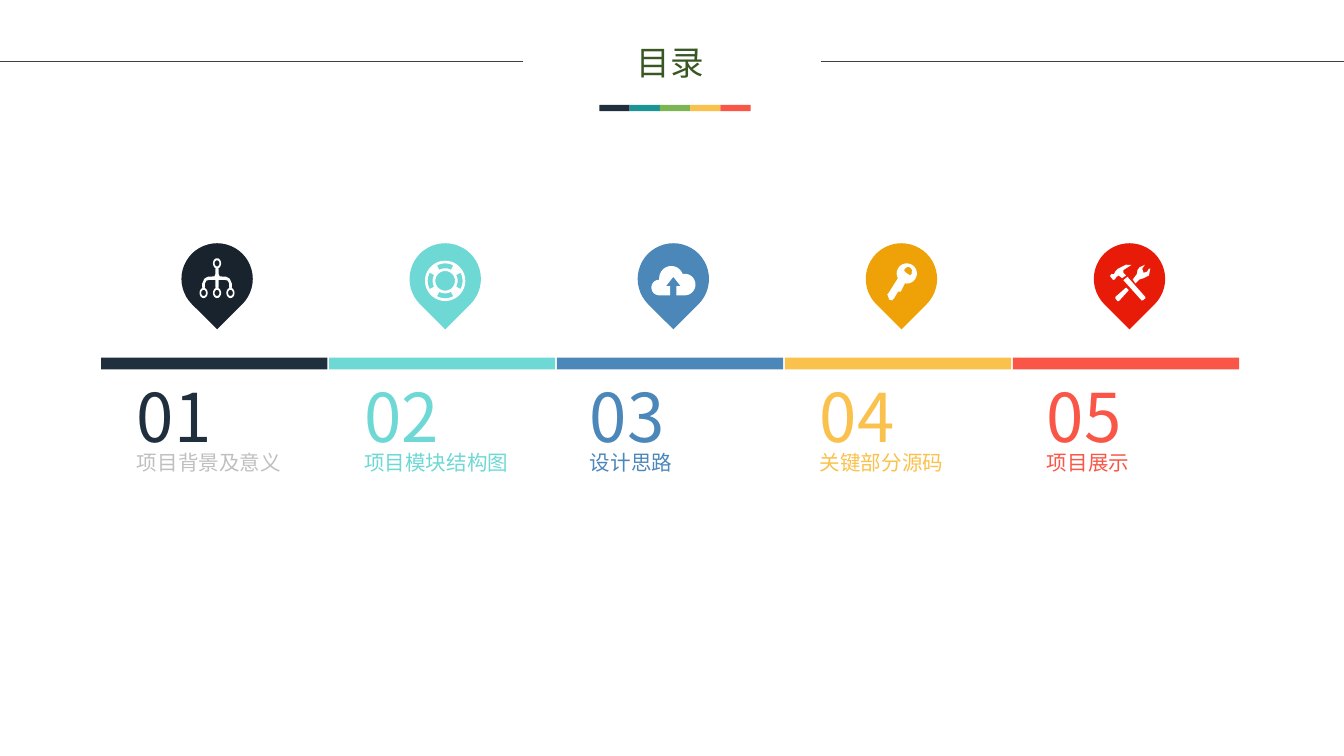
import math

import lxml.etree
import pptx
import pptx.dml.color
import pptx.enum.shapes
import pptx.enum.text
import pptx.oxml.ns
import pptx.util

FONT = "Noto Sans CJK SC"
ICON_UNIT = 0.72
PIN_TOP, PIN_SIZE = 130.3, 38.2
BAR_COLORS = ["202F3D", "1C9494", "7CB554", "FAC14D", "F95647"]


def rgb(value):
    return pptx.dml.color.RGBColor.from_string(value)


def add_shape(slide, kind, left, top, width, height, color):
    points = [pptx.util.Pt(length) for length in (left, top, width, height)]
    shape = slide.shapes.add_shape(kind, *points)
    paint(shape, color)
    return shape


def paint(shape, color):
    shape.shadow.inherit = False
    shape.fill.solid()
    shape.fill.fore_color.rgb = rgb(color)
    shape.line.fill.background()


def add_bar(slide, left, top, width, height, color):
    add_shape(slide, pptx.enum.shapes.MSO_SHAPE.RECTANGLE, left, top, width, height, color)


def add_rule(slide, start, end, top):
    ends = [pptx.util.Pt(length) for length in (start, top, end, top)]
    line = slide.shapes.add_connector(pptx.enum.shapes.MSO_CONNECTOR.STRAIGHT, *ends)
    line.line.color.rgb = rgb("404040")
    line.line.width = pptx.util.Pt(0.5)
    properties = line._element.spPr
    lxml.etree.SubElement(properties, pptx.oxml.ns.qn("a:effectLst"))


def add_text_box(slide, left, top, width, height, margins):
    points = [pptx.util.Pt(length) for length in (left, top, width, height)]
    frame = slide.shapes.add_textbox(*points).text_frame
    frame.word_wrap = True
    frame.margin_left, frame.margin_top, frame.margin_right, frame.margin_bottom = [
        pptx.util.Pt(margin) for margin in margins]
    return frame


def add_run(paragraph, text, size, color, font=FONT):
    run = paragraph.add_run()
    run.text = text
    run.font.size = pptx.util.Pt(size)
    run.font.name = font
    run.font.color.rgb = rgb(color)
    east_asian = lxml.etree.SubElement(run._r.get_or_add_rPr(), pptx.oxml.ns.qn("a:ea"))
    east_asian.set("typeface", FONT)


def arc(x, y, radius_x, radius_y, start=0, end=360):
    """Points on an ellipse, clockwise from start to end in degrees."""
    steps = max(6, round(abs(end - start) / 10))
    angles = [math.radians(start + (end - start) * i / steps) for i in range(steps + 1)]
    return [(x + radius_x * math.cos(a), y + radius_y * math.sin(a)) for a in angles]


def network_icon():
    nodes = [(0, -11.5), (-10, 10.5), (0, 10.5), (10, 10.5)]
    rings = [arc(x, y, *radii) for x, y in nodes for radii in ((3, 3.8), (1.8, 2.3))]
    half = [(1.2, -7.5), (1.2, -3.5), (2, -1.8), (7, -1.5), (9.5, 0), (11, 3.5), (11, 6.5),
            (9, 6.5), (9, 3.5), (8, 1.4), (6, 0.8), (1.2, 0.8), (1.2, 6.5)]
    return rings + [half + [(-x, y) for x, y in reversed(half)]]


def lifebuoy_icon():
    middle = 1.5
    slots = [arc(0, middle, 13, 13, angle - 28, angle + 28)
             + arc(0, middle, 9.3, 9.3, angle + 28, angle - 28) for angle in range(0, 360, 90)]
    return [arc(0, middle, 15, 15), arc(0, middle, 7.3, 7.3)] + slots


def cloud_icon():
    arrow = [(2.3, 12.3), (2.3, 5.5), (5.5, 5.5), (0, -1.5),
             (-5.5, 5.5), (-2.3, 5.5), (-2.3, 12.3)]
    return [arc(8.5, 4.3, 8, 8, -90, 90) + arrow
            + arc(-10.5, 6.5, 5.8, 5.8, 90, 270) + arc(-1.5, -0.5, 9, 9, 180, 340)]


def key_icon():
    shaft = [(-0.5, 9.5), (-2.5, 9.5), (-5.5, 14.5), (-7, 16), (-9, 15.5),
             (-10.5, 11.5), (-9.5, 10.5)]
    hole = [(7.5, -3.5), (6.5, -2.5), (3.5, -4.5), (2, -6), (2.5, -7.5),
            (4.5, -9), (6.5, -8.5), (8, -6.5)]
    return [arc(4, -4, 7.5, 7.5, 152, 461) + shaft, hole]


def tools_icon():
    hammer_head = [(-9.5, -1.5), (-8, -2.5), (-5.5, -0.5), (-2.5, -2.5), (-4.5, -4.5),
                   (-4.5, -6.5), (1.5, -10.3), (-2.5, -10.5), (-8.5, -7.5), (-10.5, -5.5),
                   (-11.5, -3.5), (-13.5, -3.5), (-14.5, -2), (-12.2, 0.8), (-11, 0.5)]
    hammer_handle = [(-1.5, -1.5), (-4.5, 1), (9, 16), (10, 16), (11.8, 14.5), (11.8, 13.5)]
    wrench_head = [(15.5, -7.5), (14.5, -7.5), (13, -5.2), (10.5, -4.5), (9.5, -7.5),
                   (11.5, -10.5), (7.5, -8.5), (6, -6.5), (5.5, -3.5), (2.5, 0.5),
                   (4.5, 3.5), (7.5, 0.5), (10.5, -0.5), (14.5, -2.5)]
    wrench_handle = [(-10.5, 13.5), (-10.5, 14.5), (-9, 16.5), (-7.8, 16.5),
                     (-0.5, 8.5), (-2.5, 6.5)]
    return [hammer_head, hammer_handle, wrench_head, wrench_handle]


def add_icon(slide, contours, center_x, center_y):
    """Draw closed contours as one white outline; inner contours are holes."""
    def place(point):
        return (100 * (center_x + point[0] * ICON_UNIT), 100 * (center_y + point[1] * ICON_UNIT))

    outlines = [[place(point) for point in contour] for contour in contours]
    builder = slide.shapes.build_freeform(*outlines[0][0], scale=pptx.util.Pt(0.01))
    for index, outline in enumerate(outlines):
        if index:
            builder.move_to(*outline[0])
        builder.add_line_segments(outline[1:], close=True)
    paint(builder.convert_to_shape(), "FFFFFF")


def add_pin(slide, left, color, contours):
    pin = add_shape(slide, pptx.enum.shapes.MSO_SHAPE.TEAR, left, PIN_TOP,
                    PIN_SIZE, PIN_SIZE, color)
    pin.rotation = 135
    add_icon(slide, contours, left + PIN_SIZE / 2, PIN_TOP + PIN_SIZE / 2)


def add_section_label(slide, left, number, label, number_color, label_color):
    frame = add_text_box(slide, left, 206.6, 96.5, 99.4, (0, 0, 5, 0))
    first, second = frame.paragraphs[0], frame.add_paragraph()
    first.line_spacing, second.line_spacing = 0.88, 0.7
    add_run(first, number, 36, number_color)
    add_run(second, label, 11, label_color)


def add_title(slide):
    frame = add_text_box(slide, 263.5, 18.7, 191.5, 28.8, (7.2, 3.6, 7.2, 3.6))
    frame.paragraphs[0].alignment = pptx.enum.text.PP_ALIGN.CENTER
    add_run(frame.paragraphs[0], "目录", 18, "385723", "Arial Narrow")
    for index, color in enumerate(BAR_COLORS):
        add_bar(slide, 321.1 + 16.2 * index, 56.2, 16.2, 3.4, color)


def main():
    presentation = pptx.Presentation()
    presentation.slide_width = pptx.util.Pt(720)
    presentation.slide_height = pptx.util.Pt(405)
    slide = presentation.slides.add_slide(presentation.slide_layouts[6])

    add_rule(slide, 439.9, 720, 33)
    add_rule(slide, 0, 280.1, 33)
    sections = [
        (73.4, "项目背景及意义", "202F3D", "BFBFBF", "18232E", network_icon),
        (195.1, "项目模块结构图", "6ED8D5", "6ED8D5", "6ED8D5", lifebuoy_icon),
        (316.1, "设计思路", "4B87B9", "4B87B9", "4B87B9", cloud_icon),
        (439.2, "关键部分源码", "FAC14D", "FAC14D", "EFA207", key_icon),
        (560.9, "项目展示", "F95647", "F95647", "E81B08", tools_icon),
    ]
    for index, (text_left, label, color, label_color, pin_color, icon) in enumerate(sections):
        add_bar(slide, 54.2 + 122.1 * index, 191.6, 121.2, 6.4, color)
        add_pin(slide, 97.2 + 122.2 * index, pin_color, icon())
        add_section_label(slide, text_left, f"{index + 1:02}", label, color, label_color)
    add_title(slide)
    presentation.save("out.pptx")


if __name__ == "__main__":
    main()
